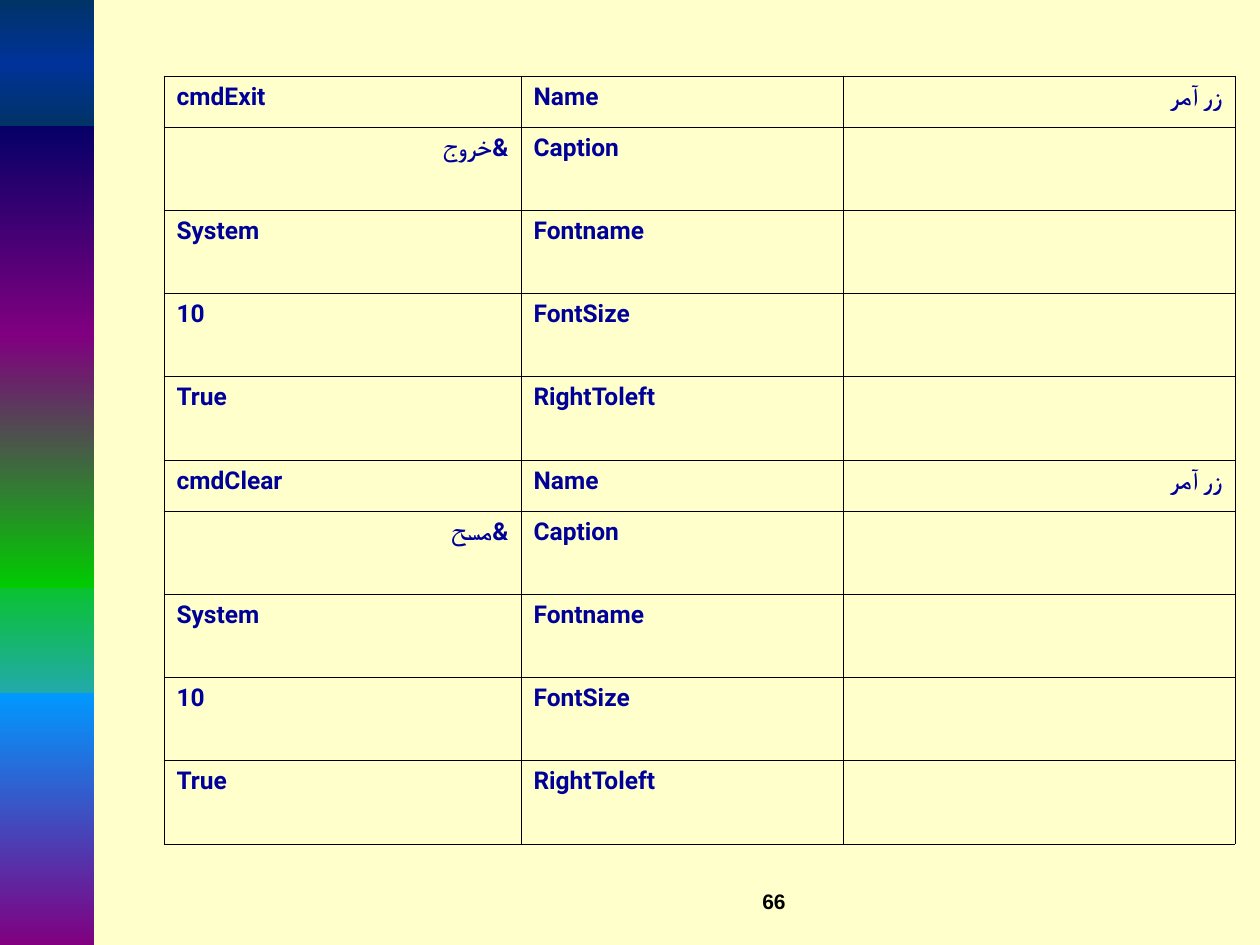
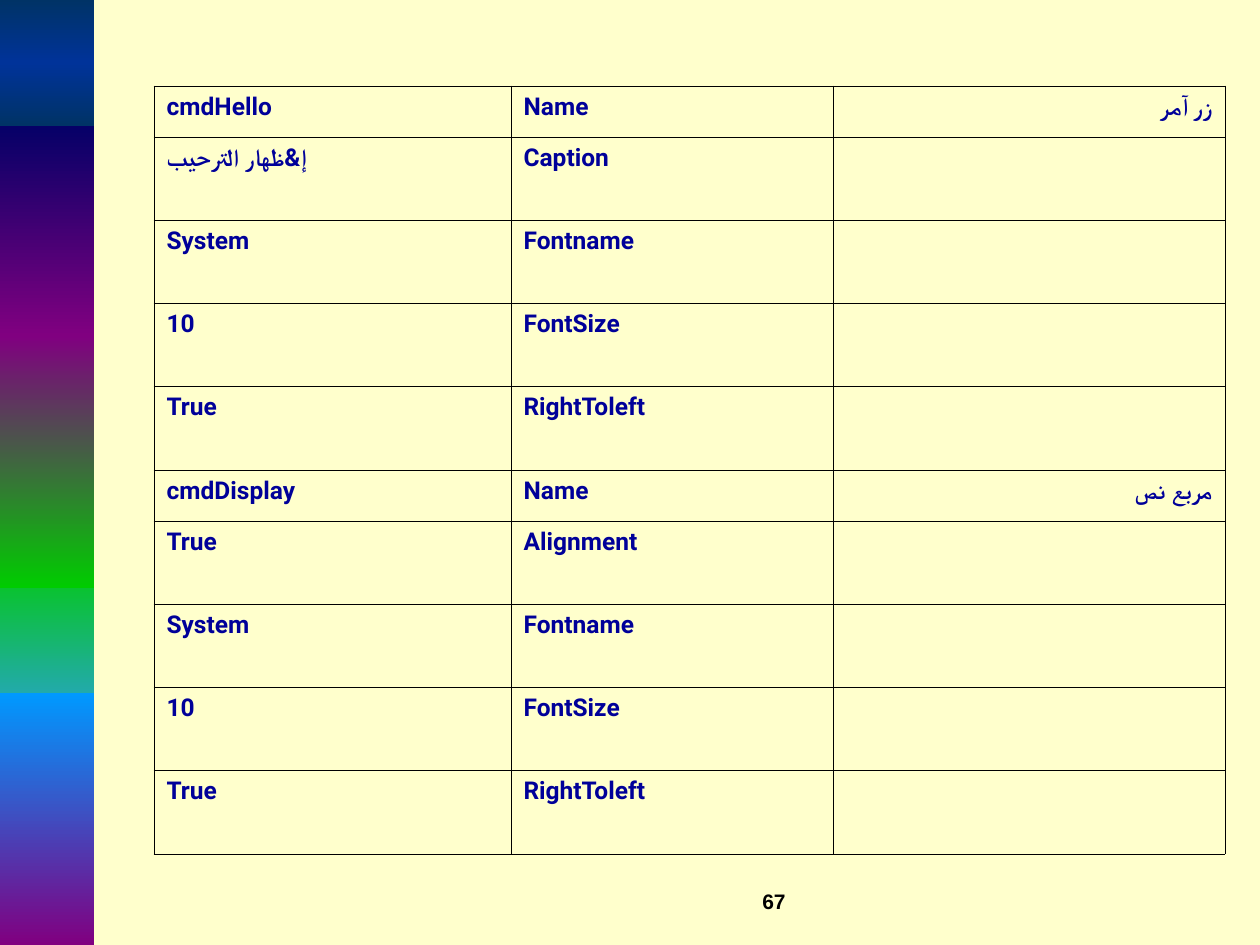
import pptx
import pptx.util
import pptx.dml.color
import pptx.enum.shapes
import pptx.enum.text
import pptx.oxml
import pptx.oxml.ns
import lxml.etree

SCALE = 914400 / 126
WIDE, HIGH = 1260, 945
CREAM, NAVY, BLACK = "FFFFCC", "000099", "000000"
BAND_WIDE = 94
BANDS = [
    (546, 220, ["00CC00", "3399FF"]),
    (116, 220, ["000066", "800080"]),
    (693, 252, ["0099FF", "800080"]),
    (336, 252, ["800080", "00CC00"]),
    (0, 126, ["003366", "003399", "003366"]),
]
COLS = [357, 322, 392]
GROUP_HIGH, HEAD_HIGH = 384, 51
INDENT = 48
EDGE = 0.45
ALIGN = pptx.enum.text.PP_ALIGN


def px(num):
    return pptx.util.Emu(round(num * SCALE))


def tint(code):
    return pptx.dml.color.RGBColor.from_string(code)


def make(tag, root, **attrs):
    node = lxml.etree.SubElement(root, pptx.oxml.ns.qn(tag))
    for key, val in attrs.items():
        node.set(key, str(val))
    return node


def add_run(para, text, face, size, code):
    run = para.add_run()
    run.text = text
    font = run.font
    font.name, font.size, font.bold = face, pptx.util.Pt(size), True
    font.color.rgb = tint(code)
    make("a:cs", font._element, typeface=face)


def add_band(slide, top, high, codes):
    kind = pptx.enum.shapes.MSO_SHAPE.RECTANGLE
    band = slide.shapes.add_shape(kind, 0, px(top), px(BAND_WIDE), px(high))
    band.shadow.inherit = False
    band.line.fill.background()
    band.fill.gradient()
    grad = band.element.spPr.find(pptx.oxml.ns.qn("a:gradFill"))
    for node in list(grad):
        grad.remove(node)
    stops = make("a:gsLst", grad)
    for i, code in enumerate(codes):
        stop = make("a:gs", stops, pos=100000 * i // (len(codes) - 1))
        make("a:srgbClr", stop, val=code)
    make("a:lin", grad, ang=5400000, scaled=0)


def add_edges(cell):
    cell.fill.background()
    props = cell._tc.get_or_add_tcPr()
    for i, side in enumerate("LRTB"):
        line = make(f"a:ln{side}", props, w=pptx.util.Pt(EDGE))
        make("a:srgbClr", make("a:solidFill", line), val=BLACK)
        props.insert(i, line)


def fill_cell(cell, text, rtl, indent):
    para = cell.text_frame.paragraphs[0]
    para.alignment = ALIGN.RIGHT if rtl else ALIGN.JUSTIFY
    props = para._p.get_or_add_pPr()
    if rtl:
        props.set("rtl", "1")
    if indent:
        props.set("marL", str(px(indent)))
        props.set("indent", str(-px(indent)))
    add_run(para, text, "Roboto", 14, NAVY)


def group(kind, name, prop, value):
    return [
        (name, "Name", kind),
        (value, prop, ""),
        ("System", "Fontname", ""),
        ("10", "FontSize", ""),
        ("True", "RightToleft", ""),
    ]


def add_grid(slide, left, top, groups, indent):
    rows = [row for item in groups for row in group(*item)]
    span = len(rows) // len(groups)
    rest = (GROUP_HIGH - HEAD_HIGH) / (span - 1)
    frame = slide.shapes.add_table(
        len(rows), len(COLS), px(left), px(top),
        px(sum(COLS)), px(GROUP_HIGH * len(groups)))
    grid = frame.table
    grid.first_row = grid.horz_banding = False
    for col, wide in zip(grid.columns, COLS):
        col.width = px(wide)
    for r, row in enumerate(rows):
        grid.rows[r].height = px(rest if r % span else HEAD_HIGH)
        for c, text in enumerate(row):
            cell = grid.cell(r, c)
            add_edges(cell)
            if text:
                rtl = c == 2 or text.startswith("&")
                fill_cell(cell, text, rtl, indent)


def add_number(slide, num):
    box = slide.shapes.add_textbox(px(536), px(882), px(262), px(63))
    box.text_frame.word_wrap = True
    para = box.text_frame.paragraphs[0]
    para.alignment = ALIGN.RIGHT
    add_run(para, str(num), "Arial", 12, BLACK)


def add_page(deck, num, left, top, groups, indent=0):
    slide = deck.slides.add_slide(deck.slide_layouts[6])
    for band in BANDS:
        add_band(slide, *band)
    add_grid(slide, left, top, groups, indent)
    add_number(slide, num)


def main():
    deck = pptx.Presentation()
    deck.slide_width, deck.slide_height = px(WIDE), px(HIGH)
    back = deck.slide_master.background.fill
    back.solid()
    back.fore_color.rgb = tint(CREAM)
    add_page(deck, 66, 164, 76, [
        ("زر آمر", "cmdExit", "Caption", "&خروج"),
        ("زر آمر", "cmdClear", "Caption", "&مسح"),
    ])
    add_page(deck, 67, 154, 86, [
        ("زر آمر", "cmdHello", "Caption", "إ&ظهار الترحيب"),
        ("مربع نص", "cmdDisplay", "Alignment", "True"),
    ], INDENT)
    deck.save("out.pptx")


if __name__ == "__main__":
    main()
